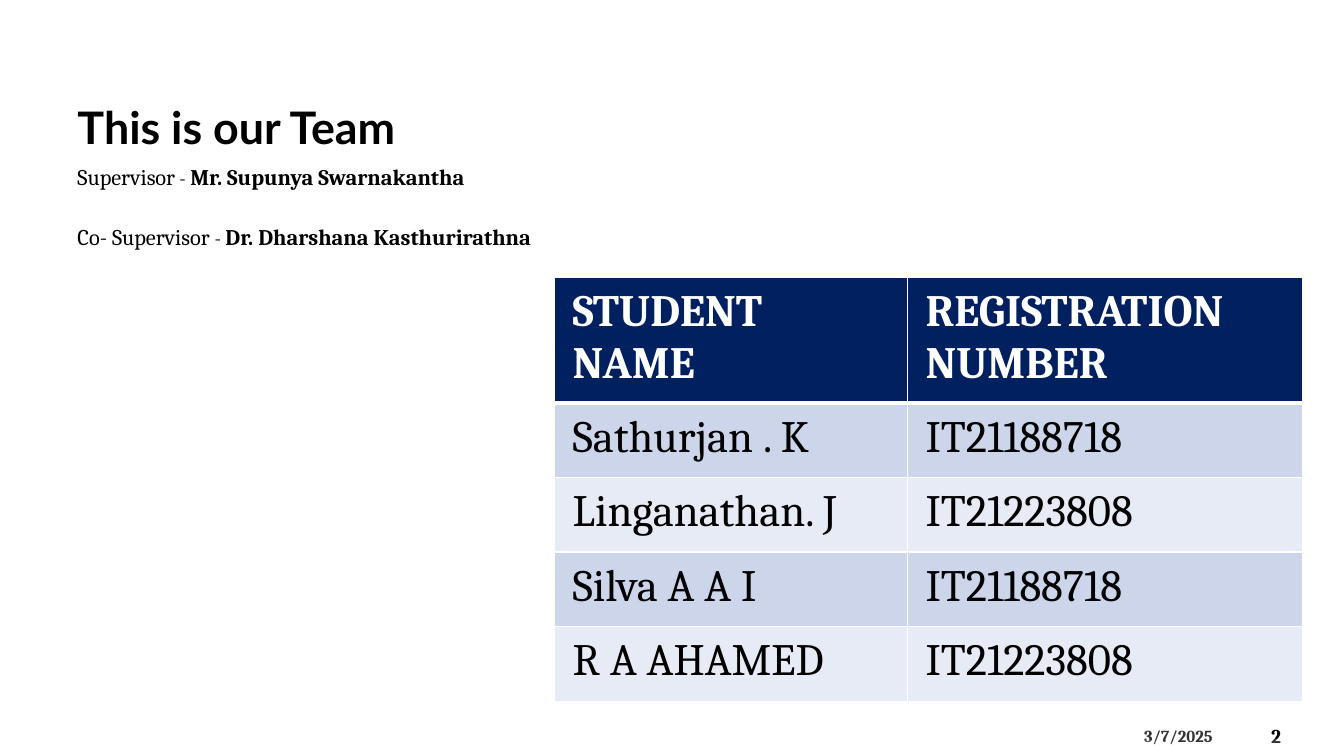
from lxml import etree
from pptx import Presentation
from pptx.dml.color import RGBColor
from pptx.enum.shapes import MSO_SHAPE
from pptx.enum.text import MSO_ANCHOR
from pptx.oxml.ns import qn
from pptx.util import Inches, Pt

TRIANGLE = MSO_SHAPE.ISOSCELES_TRIANGLE
TOP, MIDDLE, BOTTOM = MSO_ANCHOR.TOP, MSO_ANCHOR.MIDDLE, MSO_ANCHOR.BOTTOM
WHITE, BLACK, NAVY = "FFFFFF", "000000", "002060"
BANDS = ["CCD5EA", "E7EBF5"]


def add_run(p, text, size, color=BLACK, bold=False, font="Cambria"):
    r = p.add_run()
    r.text = text
    r.font.size, r.font.bold, r.font.name = Pt(size), bold, font
    r.font.color.rgb = RGBColor.from_string(color)


def add_box(left, top, width, height, anchor):
    tf = s.shapes.add_textbox(Inches(left), Inches(top), Inches(width), Inches(height)).text_frame
    tf.word_wrap = True
    tf.vertical_anchor = anchor
    return tf


prs = Presentation()
prs.slide_width, prs.slide_height = Inches(13.33), Inches(7.5)
s = prs.slides.add_slide(prs.slide_layouts[6])

# Footer: slide number and date
add_run(add_box(12.51, 7.1, 0.74, 0.4, MIDDLE).paragraphs[0], "2", 14, bold=True)
add_run(add_box(11.25, 7.15, 1.17, 0.3, TOP).paragraphs[0], "3/7/2025", 12, bold=True)

# Translucent triangles along the bottom edge
for height, apex in [(0.5, 0.854), (0.41, 0.628), (0.2, 0.394)]:
    sp = s.shapes.add_shape(TRIANGLE, 0, Inches(7.5 - height), Inches(13.33), Inches(height))
    sp.adjustments[0] = apex
    sp.shadow.inherit = False
    sp.line.fill.background()
    sp.fill.solid()
    sp.fill.fore_color.rgb = RGBColor.from_string(WHITE)
    color = sp.fill._xPr.find(qn("a:solidFill"))[0]
    etree.SubElement(color, qn("a:alpha"), val="20000")

# Title
p = add_box(0.67, 0.3, 4.39, 1.27, BOTTOM).paragraphs[0]
p.space_after = Pt(6)
add_run(p, "This is our Team", 32, bold=True, font="Lato")

# Supervisors
tf = add_box(0.67, 1.57, 5.42, 5.13, TOP)
p = tf.paragraphs[0]
add_run(p, "Supervisor", 16)
add_run(p, " - ", 14)
add_run(p, "Mr. Supunya Swarnakantha", 16, bold=True)
p = tf.add_paragraph()
p.space_before = Pt(23.5)
add_run(p, "Co- Supervisor ", 16)
add_run(p, "- ", 14)
add_run(p, "Dr. Dharshana Kasthurirathna", 16, bold=True)

# Team table
rows = [
    ("STUDENT NAME", "REGISTRATION NUMBER"),
    ("Sathurjan . K", "IT21188718"),
    ("Linganathan. J", "IT21223808"),
    ("Silva A A I", "IT21188718"),
    ("R A AHAMED", "IT21223808"),
]
table = s.shapes.add_table(len(rows), 2, Inches(5.5), Inches(2.75), Inches(7.42), Inches(4.2)).table
for col, width in zip(table.columns, [3.5, 3.92]):
    col.width = Inches(width)
for i, texts in enumerate(rows):
    header = i == 0
    table.rows[i].height = Inches(1.24 if header else 0.74)
    for j, text in enumerate(texts):
        cell = table.cell(i, j)
        cell.margin_left = cell.margin_right = Inches(0.18)
        cell.margin_top = cell.margin_bottom = Inches(0.09)
        add_run(cell.text_frame.paragraphs[0], text, 32, WHITE if header else BLACK, header)
        # Borders come before the fill in the cell properties
        tc_pr = cell._tc.get_or_add_tcPr()
        for side in "LRTB":
            thick = (header and side == "B") or (i == 1 and side == "T")
            ln = etree.SubElement(tc_pr, qn("a:ln" + side), w=str(Pt(3 if thick else 1)))
            fill = etree.SubElement(ln, qn("a:solidFill"))
            etree.SubElement(fill, qn("a:srgbClr"), val=WHITE)
        cell.fill.solid()
        cell.fill.fore_color.rgb = RGBColor.from_string(NAVY if header else BANDS[(i - 1) % 2])

prs.save("out.pptx")
